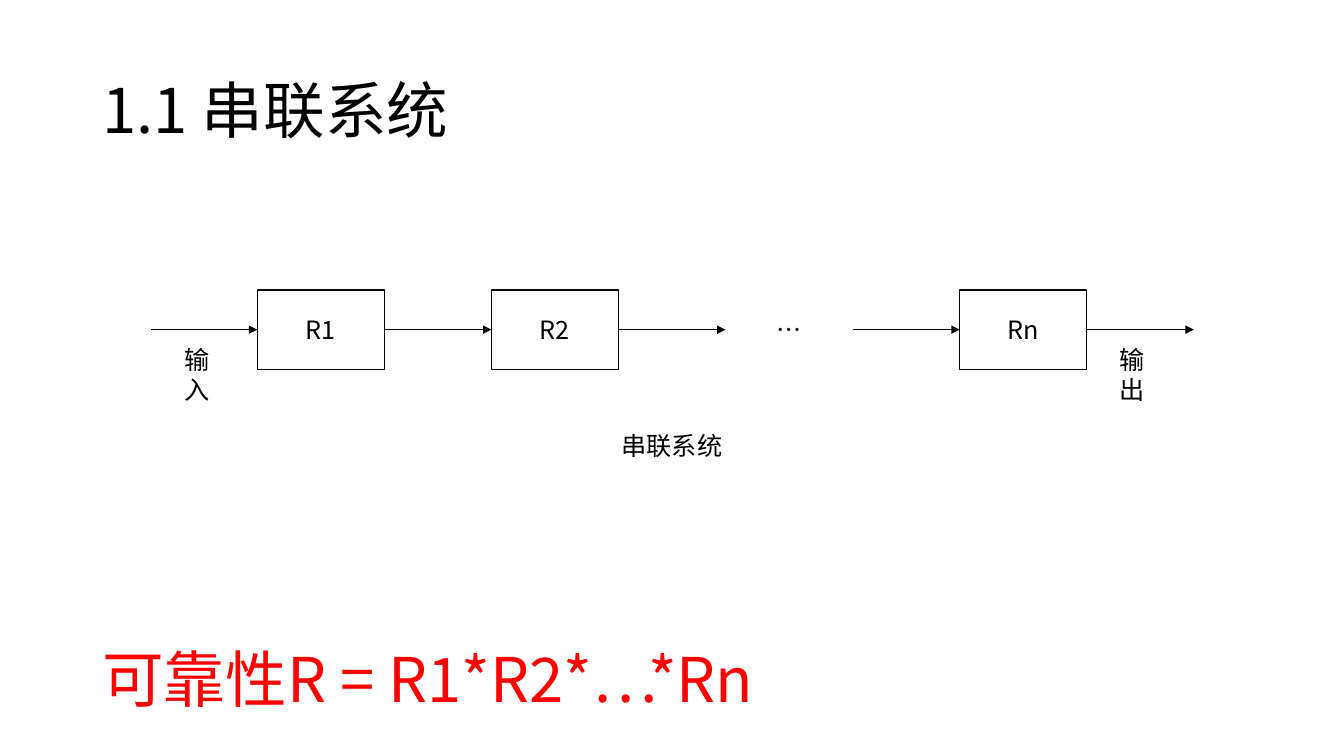
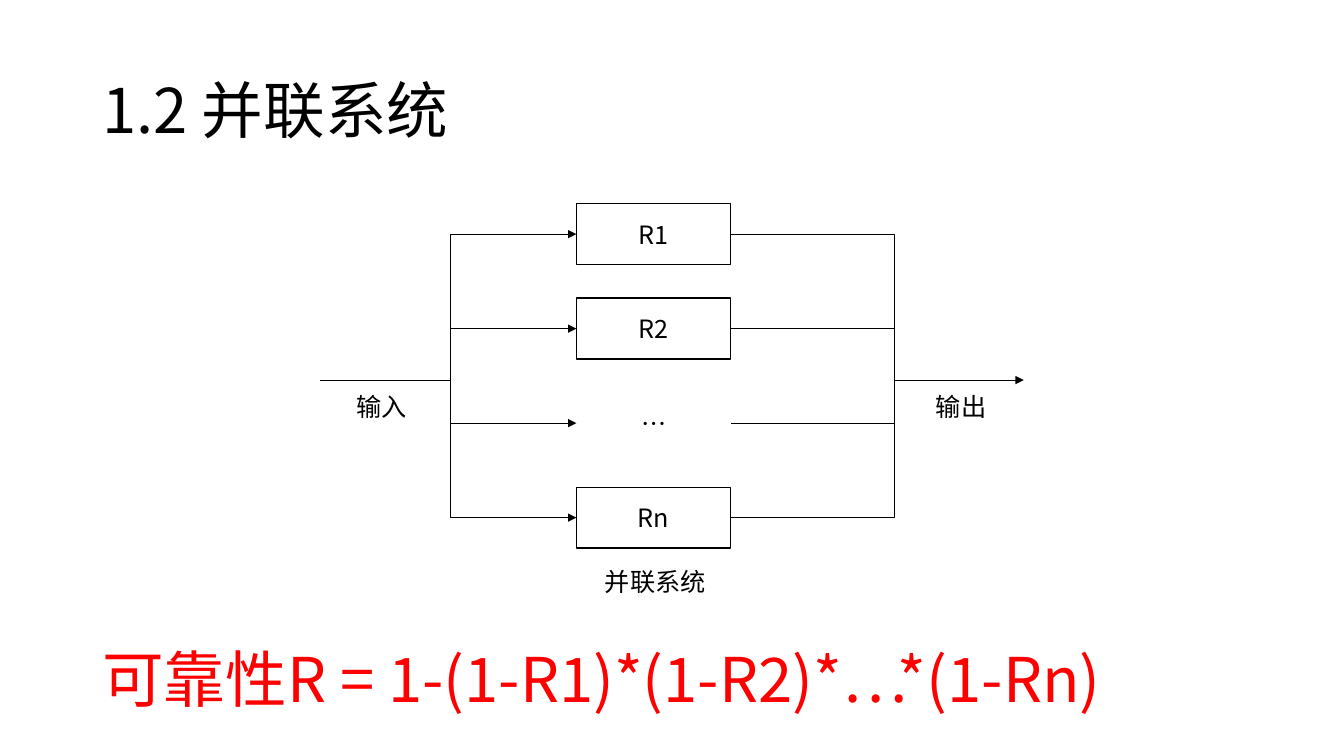
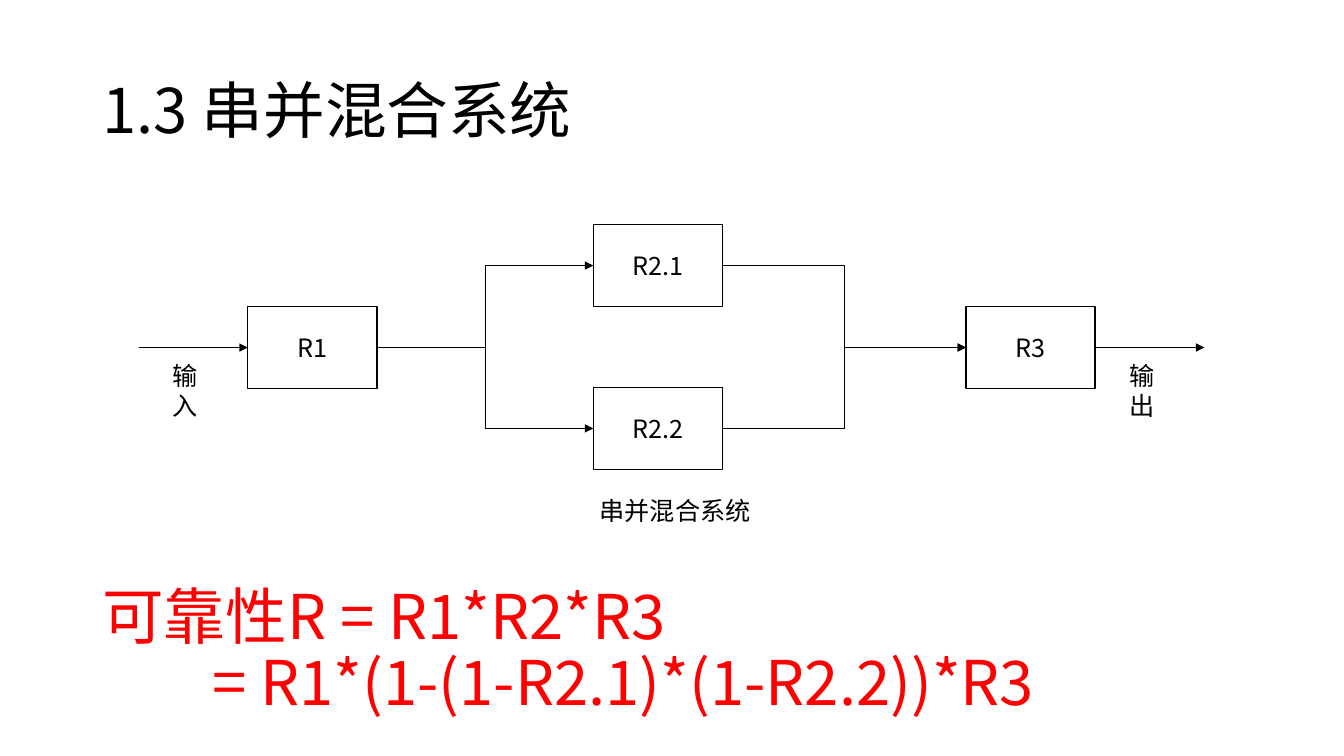
from dataclasses import dataclass
from typing import NamedTuple, Optional, Union

from lxml import etree
from pptx import Presentation
from pptx import util as u
from pptx.dml.color import RGBColor
from pptx.enum import shapes, text
from pptx.oxml.ns import qn

PX = 9525  # EMU, 96 px to the inch
LEFT, RIGHT = 1, 3
LINE, CORNER, STEP = "line", "bentConnector2", "bentConnector3"
HEAD, TAIL = "a:headEnd", "a:tailEnd"


@dataclass(frozen=True)
class Theme:
    font: str = "Noto Sans CJK SC"
    ink: RGBColor = RGBColor(0, 0, 0)
    paper: RGBColor = RGBColor(255, 255, 255)
    accent: RGBColor = RGBColor(255, 0, 0)
    head: int = 44
    label: int = 18
    edge: float = 1
    wire: float = 0.5
    lead: float = 0.9


THEME = Theme()


class Box(NamedTuple):
    x: int
    y: int
    w: int
    h: int

    def emu(self) -> list[int]:
        return [v * PX for v in self]


class Point(NamedTuple):
    x: int
    y: int


@dataclass(frozen=True)
class Port:
    """The middle of the left or right side of a block."""
    block: object
    side: int


End = Union[Point, Port]
TITLE = Box(88, 39, 1104, 139)
RESULT = Box(88, 581, 1104, 139)


def style(frame, size: int, color: RGBColor, align=text.PP_ALIGN.LEFT,
          lead: Optional[float] = None) -> None:
    for para in frame.paragraphs:
        para.alignment = align
        if lead:
            para.line_spacing = lead
        for run in para.runs:
            run.font.size = u.Pt(size)
            run.font.color.rgb = color
            run.font.name = THEME.font
            east = etree.SubElement(run.font._element, qn("a:ea"))
            east.set("typeface", THEME.font)


def add_page(deck, title: str):
    page = deck.slides.add_slide(deck.slide_layouts[5])
    head = page.shapes.title
    head.left, head.top, head.width, head.height = TITLE.emu()
    frame = head.text_frame
    frame.text = title
    frame.auto_size = text.MSO_AUTO_SIZE.NONE
    frame.vertical_anchor = text.MSO_ANCHOR.MIDDLE
    style(frame, THEME.head, THEME.ink, lead=THEME.lead)
    return page


def add_text(page, box: Box, words: str):
    frame = page.shapes.add_textbox(*box.emu()).text_frame
    frame.word_wrap = True
    frame.text = words
    return frame


def add_label(page, box: Box, words: str, align=text.PP_ALIGN.LEFT) -> None:
    style(add_text(page, box, words), THEME.label, THEME.ink, align)


def add_result(page, words: str, box: Box = RESULT, indent: int = 0) -> None:
    """Write the formula; lines after the first are indented."""
    frame = add_text(page, box, words)
    frame.vertical_anchor = text.MSO_ANCHOR.MIDDLE
    style(frame, THEME.head, THEME.accent, lead=THEME.lead)
    for para in frame.paragraphs[1:]:
        para._p.get_or_add_pPr().set("marL", str(indent * PX))


def add_block(page, box: Box, name: str):
    block = page.shapes.add_shape(shapes.MSO_SHAPE.RECTANGLE, *box.emu())
    block.shadow.inherit = False
    block.fill.solid()
    block.fill.fore_color.rgb = THEME.paper
    if name == "…":
        block.line.fill.background()
    else:
        block.line.color.rgb = THEME.ink
        block.line.width = u.Pt(THEME.edge)
    frame = block.text_frame
    frame.text = name
    frame.vertical_anchor = text.MSO_ANCHOR.MIDDLE
    style(frame, THEME.label, THEME.ink, text.PP_ALIGN.CENTER)
    return block


def locate(end: End) -> tuple[int, int]:
    if isinstance(end, Point):
        return end.x * PX, end.y * PX
    block = end.block
    x = block.left + (block.width if end.side == RIGHT else 0)
    return x, block.top + block.height // 2


def add_wire(page, start: End, stop: End, arrow: Optional[str] = TAIL,
             form: str = LINE) -> None:
    kind = (shapes.MSO_CONNECTOR.STRAIGHT if form == LINE
            else shapes.MSO_CONNECTOR.ELBOW)
    wire = page.shapes.add_connector(kind, *locate(start), *locate(stop))
    if isinstance(start, Port):
        wire.begin_connect(start.block, start.side)
    if isinstance(stop, Port):
        wire.end_connect(stop.block, stop.side)
    wire.line.color.rgb = THEME.ink
    wire.line.width = u.Pt(THEME.wire)
    props = wire._element.spPr
    props.find(qn("a:prstGeom")).set("prst", form)
    if arrow:
        tip = etree.SubElement(props.find(qn("a:ln")), qn(arrow))
        tip.set("type", "triangle")
    etree.SubElement(props, qn("a:effectLst"))


def draw_series(deck) -> None:
    page = add_page(deck, "1.1 串联系统")
    mid, step = 314, 223
    blocks = [add_block(page, Box(245 + step * i, mid - 38, 121, 76), name)
              for i, name in enumerate(("R1", "R2", "…", "Rn"))]
    ends = [Point(144, mid)]
    for block in blocks:
        add_wire(page, ends[-1], Port(block, LEFT))
        ends.append(Port(block, RIGHT))
    add_wire(page, ends[-1], Point(1137, mid))
    add_label(page, Box(166, 323, 58, 38), "输入")
    add_label(page, Box(1057, 323, 58, 38), "输出")
    add_label(page, Box(557, 405, 166, 38), "串联系统", text.PP_ALIGN.CENTER)
    add_result(page, "可靠性R = R1*R2*…*Rn")


def draw_fork(deck) -> None:
    """Outer blocks meet the input and output by corners, inner ones straight."""
    page = add_page(deck, "1.2 并联系统")
    near, far, mid = 429, 852, 362
    rows = [223 + 90 * i for i in range(4)]
    inner = rows[1:3]
    blocks = [add_block(page, Box(549, y - 29, 147, 58), name)
              for y, name in zip(rows, ("R1", "R2", "…", "Rn"))]
    for block, y in zip(blocks[::3], inner):
        add_wire(page, Port(block, LEFT), Point(near, y), HEAD, CORNER)
        add_wire(page, Port(block, RIGHT), Point(far, mid), None, CORNER)
    for block, y in zip(blocks[1:3], inner):
        add_wire(page, Point(near, y), Port(block, LEFT))
        add_wire(page, Port(block, RIGHT), Point(far, y), None)
        add_wire(page, Point(near, mid), Point(near, y), None)
    add_wire(page, Point(305, mid), Point(near, mid), None)
    add_wire(page, Point(far, mid), Point(975, mid))
    add_label(page, Box(330, 368, 70, 30), "输入")
    add_label(page, Box(882, 368, 70, 30), "输出")
    add_label(page, Box(562, 535, 124, 30), "并联系统", text.PP_ALIGN.CENTER)
    add_result(page, "可靠性R = 1-(1-R1)*(1-R2)*…*(1-Rn)")


def draw_mix(deck) -> None:
    page = add_page(deck, "1.3 串并混合系统")
    mid, wide, high = 331, 123, 78
    first = add_block(page, Box(236, mid - high // 2, wide, high), "R1")
    last = add_block(page, Box(920, mid - high // 2, wide, high), "R3")
    for name, y in (("R2.1", 253), ("R2.2", 408)):
        block = add_block(page, Box(565, y - high // 2, wide, high), name)
        add_wire(page, Port(first, RIGHT), Port(block, LEFT), form=STEP)
        add_wire(page, Port(block, RIGHT), Port(last, LEFT), form=STEP)
    add_wire(page, Point(132, mid), Port(first, LEFT))
    add_wire(page, Port(last, RIGHT), Point(1147, mid))
    add_label(page, Box(155, 338, 58, 38), "输入")
    add_label(page, Box(1066, 338, 58, 38), "输出")
    add_label(page, Box(547, 467, 192, 38), "串并混合系统", text.PP_ALIGN.CENTER)
    add_result(page, "可靠性R = R1*R2*R3\n= R1*(1-(1-R2.1)*(1-R2.2))*R3",
               Box(88, 523, 1192, 197), indent=105)


def main() -> None:
    deck = Presentation()
    deck.slide_width, deck.slide_height = 1280 * PX, 720 * PX
    for draw in (draw_series, draw_fork, draw_mix):
        draw(deck)
    deck.save("out.pptx")


if __name__ == "__main__":
    main()
